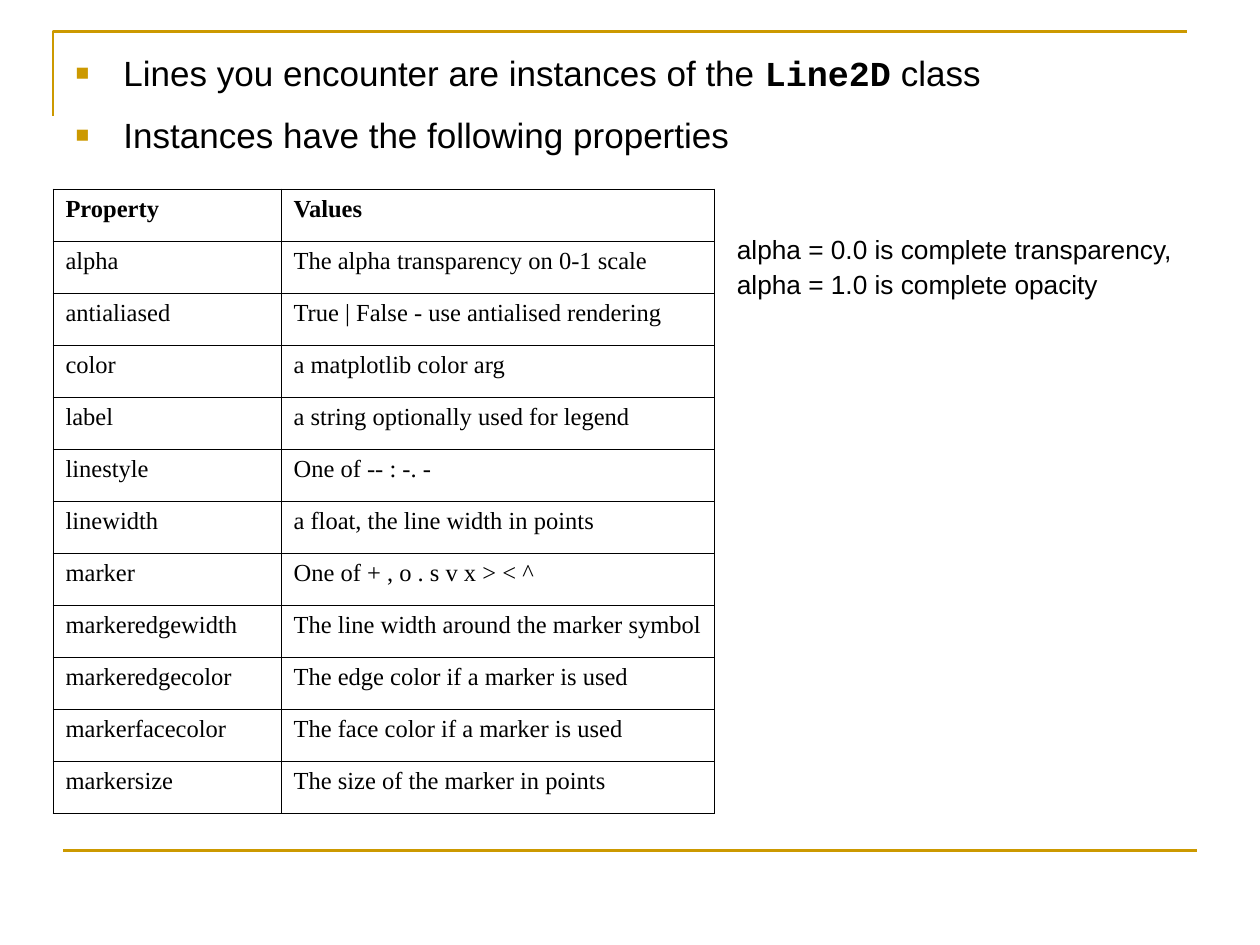
import dataclasses

import lxml.etree
import pptx
import pptx.dml.color
import pptx.enum.text
import pptx.oxml.ns
import pptx.util

Inches = pptx.util.Inches
Pt = pptx.util.Pt
qn = pptx.oxml.ns.qn

COLORS = {"gold": "CC9900", "black": "000000"}


@dataclasses.dataclass(frozen=True)
class Span:
    text: str
    font: str = "Arial"
    bold: bool = False


@dataclasses.dataclass(frozen=True)
class Property:
    name: str
    values: str


BULLETS = [
    [
        Span("Lines you encounter are instances of the "),
        Span("Line2D", "Courier New", True),
        Span(" class"),
    ],
    [Span("Instances have the following properties")],
]

PROPERTIES = [
    Property("Property", "Values"),
    Property("alpha", "The alpha transparency on 0-1 scale"),
    Property("antialiased", "True | False - use antialised rendering"),
    Property("color", "a matplotlib color arg"),
    Property("label", "a string optionally used for legend"),
    Property("linestyle", "One of -- : -. -"),
    Property("linewidth", "a float, the line width in points"),
    Property("marker", "One of + , o . s v x > < ^"),
    Property("markeredgewidth", "The line width around the marker symbol"),
    Property("markeredgecolor", "The edge color if a marker is used"),
    Property("markerfacecolor", "The face color if a marker is used"),
    Property("markersize", "The size of the marker in points"),
]


def rgb(name: str) -> pptx.dml.color.RGBColor:
    return pptx.dml.color.RGBColor.from_string(COLORS[name])


def style_font(font, name: str, size: float, bold: bool = False) -> None:
    font.name = name
    font.size = Pt(size)
    font.bold = bold
    font.color.rgb = rgb("black")


def style_line(line) -> None:
    line.color.rgb = rgb("gold")
    line.width = Pt(1.5)


def add_frame_lines(page) -> None:
    builder = page.shapes.build_freeform(Inches(0.42), Inches(0.92))
    builder.add_line_segments(
        [(Inches(0.42), Inches(0.25)), (Inches(9.42), Inches(0.25))], close=False
    )
    corner = builder.convert_to_shape()
    corner.shadow.inherit = False
    corner.fill.background()
    style_line(corner.line)

    footer = page.shapes.add_connector(
        pptx.enum.shapes.MSO_CONNECTOR.STRAIGHT,
        Inches(0.5), Inches(6.75), Inches(9.5), Inches(6.75),
    )
    lxml.etree.SubElement(footer._element.spPr, qn("a:effectLst"))
    style_line(footer.line)


def add_bullet(para) -> None:
    properties = para._p.get_or_add_pPr()
    properties.set("marL", str(Inches(0.38)))
    properties.set("indent", str(-Inches(0.38)))
    color = lxml.etree.SubElement(properties, qn("a:buClr"))
    lxml.etree.SubElement(color, qn("a:srgbClr"), val=COLORS["gold"])
    lxml.etree.SubElement(properties, qn("a:buSzPct"), val="65000")
    lxml.etree.SubElement(properties, qn("a:buFont"), typeface="Arial")
    lxml.etree.SubElement(properties, qn("a:buChar"), char="■")


def fill_body(body, bullets: list[list[Span]]) -> None:
    body.left, body.top = Inches(0.5), Inches(0.33)
    body.width, body.height = Inches(9.17), Inches(1.04)
    frame = body.text_frame
    frame.auto_size = pptx.enum.text.MSO_AUTO_SIZE.NONE
    frame.vertical_anchor = pptx.enum.text.MSO_ANCHOR.TOP
    frame.margin_top = Inches(0.08)
    for index, spans in enumerate(bullets):
        para = frame.add_paragraph() if index else frame.paragraphs[0]
        add_bullet(para)
        para.space_before = Pt(11.2 if index else 0)
        for span in spans:
            run = para.add_run()
            run.text = span.text
            style_font(run.font, span.font, 20, span.bold)


def add_borders(cell) -> None:
    properties = cell._tc.get_or_add_tcPr()
    for index, side in enumerate(("lnL", "lnR", "lnT", "lnB")):
        border = lxml.etree.Element(qn(f"a:{side}"), w=str(Pt(0.45)))
        fill = lxml.etree.SubElement(border, qn("a:solidFill"))
        lxml.etree.SubElement(fill, qn("a:srgbClr"), val=COLORS["black"])
        properties.insert(index, border)


def add_property_table(page, rows: list[Property]) -> None:
    table = page.shapes.add_table(
        len(rows), 2, Inches(0.42), Inches(1.5), Inches(5.25), Inches(4.96)
    ).table
    table.first_row = False
    table.horz_banding = False
    table.columns[0].width = Inches(1.81)
    table.columns[1].width = Inches(3.44)
    for index, row in enumerate(rows):
        for cell, text in zip(table.rows[index].cells, (row.name, row.values)):
            cell.fill.background()
            add_borders(cell)
            cell.text_frame.text = text
            span = cell.text_frame.paragraphs[0].runs[0]
            style_font(span.font, "Times New Roman", 14, index == 0)


def add_note(page, text: str) -> None:
    box = page.shapes.add_textbox(
        Inches(5.75), Inches(1.79), Inches(3.75), Inches(0.67)
    )
    frame = box.text_frame
    frame.word_wrap = True
    frame.margin_top = Inches(0.03)
    frame.text = text
    para = frame.paragraphs[0]
    para.line_spacing = Pt(20)
    style_font(para.runs[0].font, "Arial", 15)


def main() -> None:
    deck = pptx.Presentation()
    deck.slide_width = Inches(10)
    deck.slide_height = Inches(7.5)
    page = deck.slides.add_slide(deck.slide_layouts[1])
    title = page.shapes.title._element
    title.getparent().remove(title)
    add_frame_lines(page)
    fill_body(page.placeholders[1], BULLETS)
    add_property_table(page, PROPERTIES)
    add_note(
        page, "alpha = 0.0 is complete transparency, alpha = 1.0 is complete opacity"
    )
    deck.save("out.pptx")


if __name__ == "__main__":
    main()
